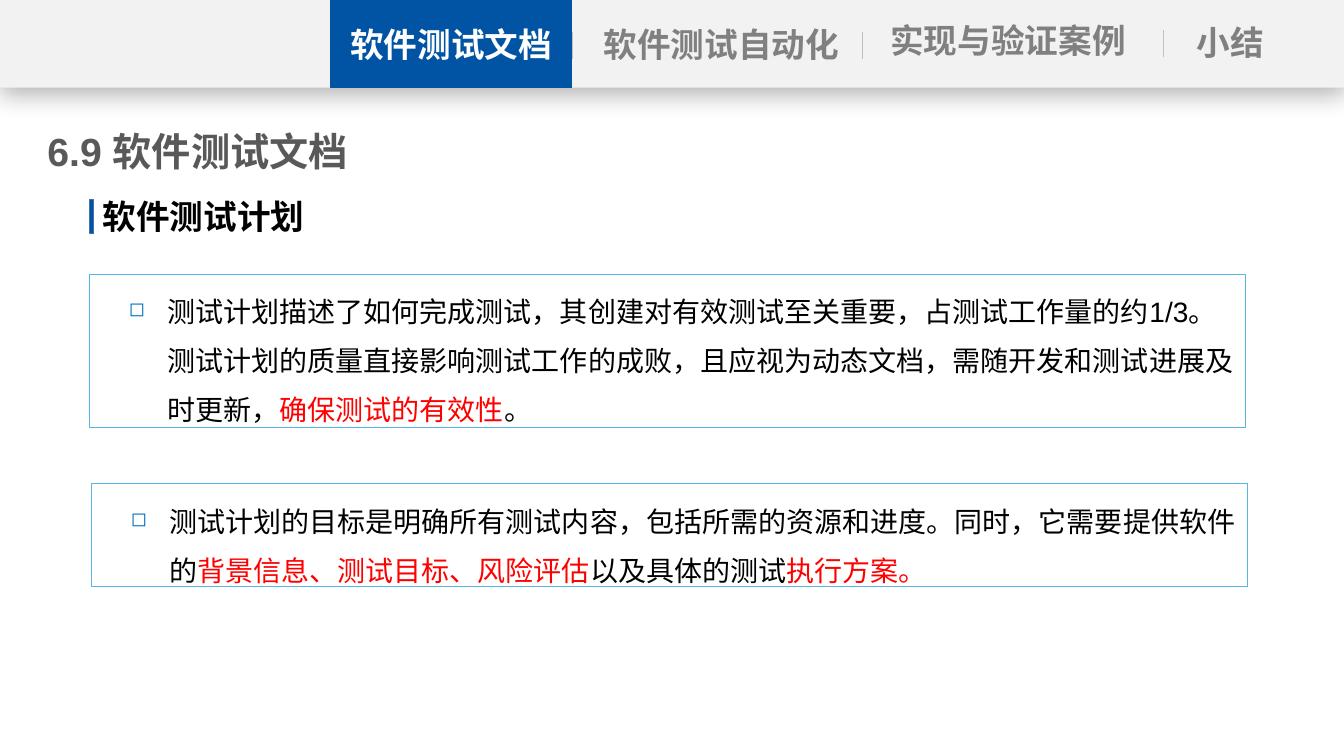
"""Build the slide on software test documents."""
import pptx
import pptx.dml.color
import pptx.enum.shapes
import pptx.enum.text
import pptx.oxml
import pptx.oxml.ns
import pptx.util
from lxml import etree

RGB = pptx.dml.color.RGBColor
PP_ALIGN = pptx.enum.text.PP_ALIGN
ANCHOR = pptx.enum.text.MSO_ANCHOR
Pt, Inches = pptx.util.Pt, pptx.util.Inches

WIDTH, HEIGHT = Inches(13.33), Inches(7.5)
FONT = "Arial"
BLUE, BAR_EDGE, FRAME = RGB(0, 0x54, 0xA3), RGB(0x47, 0x6F, 0xAA), RGB(0x58, 0xB6, 0xE5)
BAND, RULE = RGB(0xF2, 0xF2, 0xF2), RGB(0xBF, 0xBF, 0xBF)
TITLE, MUTED = RGB(0x59, 0x59, 0x59), RGB(0x80, 0x80, 0x80)
BLACK, WHITE, RED = RGB(0, 0, 0), RGB(255, 255, 255), RGB(255, 0, 0)
BULLET = RGB(0, 0x70, 0xC0)


def place(x, y, w, h):
    """Turn percentages of the slide into left, top, width and height."""
    return (int(WIDTH * x / 100), int(HEIGHT * y / 100),
            int(WIDTH * w / 100), int(HEIGHT * h / 100))


def add_child(parent, tag, **attrs):
    """Append a DrawingML element with the given attributes."""
    child = etree.SubElement(parent, pptx.oxml.ns.qn(tag))
    for name, value in attrs.items():
        child.set(name, str(value))
    return child


def write(sp, text, size, color, align=PP_ALIGN.LEFT, anchor=ANCHOR.TOP, inset=0.1):
    """Put one bold line of text into a shape."""
    tf = sp.text_frame
    tf.word_wrap = True
    tf.auto_size = pptx.enum.text.MSO_AUTO_SIZE.NONE
    tf.vertical_anchor = anchor
    tf.margin_left = tf.margin_right = Inches(inset)
    tf.margin_top = tf.margin_bottom = Inches(0.05)
    p = tf.paragraphs[0]
    p.text = text
    p.alignment = align
    p.font.name, p.font.size, p.font.bold = FONT, Pt(size), True
    p.font.color.rgb = color


def add_rect(slide, box, fill=None, line=None, weight=1):
    """Add a rectangle, leaving out the fill or line that is not given."""
    sp = slide.shapes.add_shape(pptx.enum.shapes.MSO_SHAPE.RECTANGLE, *place(*box))
    sp.shadow.inherit = False
    if fill is None:
        sp.fill.background()
    else:
        sp.fill.solid()
        sp.fill.fore_color.rgb = fill
    if line is None:
        sp.line.fill.background()
    else:
        sp.line.color.rgb = line
        sp.line.width = Pt(weight)
    return sp


def add_label(slide, box, text, color, **style):
    """Add a 24 point bold text box."""
    sp = slide.shapes.add_textbox(*place(*box))
    write(sp, text, 24, color, **style)


def add_divider(slide, x, y):
    """Add a short vertical rule between navigation labels."""
    left, top, _, height = place(x, y, 0, 3.6)
    cn = slide.shapes.add_connector(
        pptx.enum.shapes.MSO_CONNECTOR.STRAIGHT, left, top, left, top + height)
    cn.line.color.rgb = RULE
    cn.line.width = Pt(0.5)
    add_child(cn._element.spPr, "a:effectLst")


def add_navigation(slide):
    """Add the shadowed band with the current tab and the other sections."""
    band = add_rect(slide, (0, 0, 100, 11.6), BAND)
    effects = band._element.spPr.find(pptx.oxml.ns.qn("a:effectLst"))
    shadow = add_child(effects, "a:outerShdw", blurRad=Pt(18), dist=Pt(4),
                       dir=90 * 60000, algn="t", rotWithShape=0)
    add_child(add_child(shadow, "a:srgbClr", val="000000"), "a:alpha", val=29000)
    tab = add_rect(slide, (24.6, 0, 17.93, 11.6), BLUE, BLUE)
    write(tab, "软件测试文档", 24, WHITE, PP_ALIGN.CENTER, ANCHOR.MIDDLE)
    for x, y, w, text in ((44.7, 2.53, 17.93, "软件测试自动化"),
                          (65.4, 2, 19.2, "实现与验证案例"),
                          (85.5, 2.27, 12.08, "小结")):
        add_label(slide, (x, y, w, 6.8), text, MUTED, align=PP_ALIGN.CENTER, inset=0)
    for x, y in ((42.6, 4.27), (64.13, 4.27), (86.55, 4)):
        add_divider(slide, x, y)


def add_bullet_box(slide, box, runs):
    """Add a framed bullet paragraph made of (text, color) runs."""
    sp = add_rect(slide, box, line=FRAME, weight=0.75)
    tf = sp.text_frame
    tf.word_wrap = True
    tf.vertical_anchor = ANCHOR.TOP
    p = tf.paragraphs[0]
    p.alignment = PP_ALIGN.LEFT
    p.line_spacing, p.space_before = Pt(35), Pt(6)
    p.font.name, p.font.size = FONT, Pt(20)
    pPr = p._p.get_or_add_pPr()
    pPr.set("marL", str(Inches(0.67)))
    pPr.set("indent", str(Inches(-0.38)))
    marks = [pptx.oxml.parse_xml(f'<a:{tag} {pptx.oxml.ns.nsdecls("a")}>{body}</a:{tag}>')
             for tag, body in (("buClr", f'<a:srgbClr val="{BULLET}"/>'),)]
    pPr.find(pptx.oxml.ns.qn("a:spcBef")).addnext(marks[0])
    size = etree.Element(pptx.oxml.ns.qn("a:buSzPct"), val="70000")
    char = etree.Element(pptx.oxml.ns.qn("a:buChar"), char="◻")
    marks[0].addnext(size)
    size.addnext(char)
    for text, color in runs:
        r = p.add_run()
        r.text = text
        r.font.color.rgb = color


def main():
    """Assemble and save the slide."""
    prs = pptx.Presentation()
    prs.slide_width, prs.slide_height = WIDTH, HEIGHT
    slide = prs.slides.add_slide(prs.slide_layouts[5])
    title = slide.shapes.title
    title.left, title.top, title.width, title.height = place(3.53, 16.13, 34.28, 7.73)
    write(title, "6.9 软件测试文档", 28, TITLE, inset=0)
    add_navigation(slide)
    add_bullet_box(slide, (6.68, 36.27, 86.03, 20.27), (
        ("测试计划描述了如何完成测试，其创建对有效测试至关重要，占测试工作量的约1/3。"
         "测试计划的质量直接影响测试工作的成败，且应视为动态文档，"
         "需随开发和测试进展及时更新，", BLACK),
        ("确保测试的有效性", RED),
        ("。", BLACK)))
    add_bullet_box(slide, (6.83, 64, 86.03, 13.6), (
        ("测试计划的目标是明确所有测试内容，包括所需的资源和进度。"
         "同时，它需要提供软件的", BLACK),
        ("背景信息、测试目标、风险评估", RED),
        ("以及具体的测试", BLACK),
        ("执行方案。", RED)))
    add_rect(slide, (6.68, 26.4, 0.3, 4.53), BLUE, BAR_EDGE)
    add_label(slide, (6.9, 25.2, 41.55, 6.67), "软件测试计划", BLACK)
    prs.save("out.pptx")


if __name__ == "__main__":
    main()
